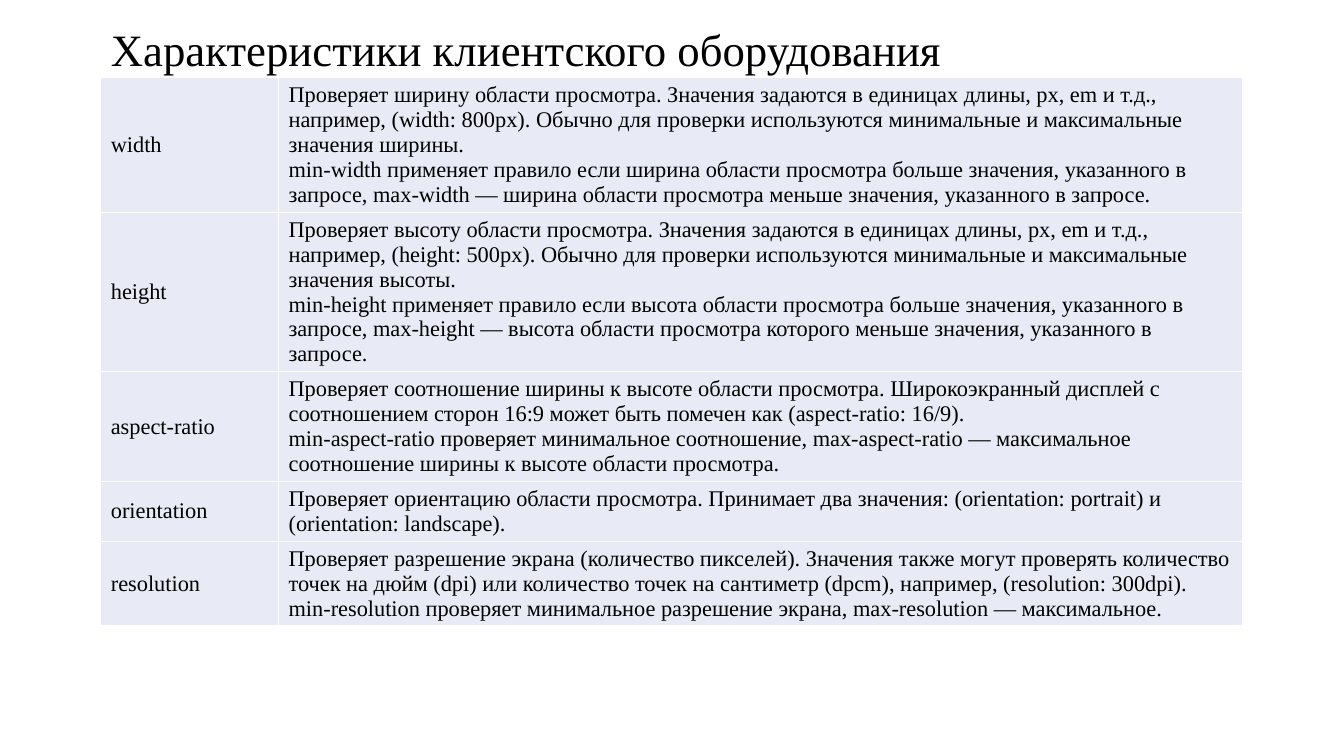
from copy import deepcopy
from dataclasses import dataclass

from lxml.etree import SubElement
from pptx import Presentation
from pptx.dml.color import RGBColor
from pptx.enum.text import MSO_ANCHOR, MSO_AUTO_SIZE, PP_ALIGN
from pptx.oxml.ns import qn
from pptx.util import Cm, Pt


@dataclass(frozen=True)
class Theme:
    font: str = "Times New Roman"
    text: str = "000000"
    cell: str = "E8EBF5"
    border: str = "FFFFFF"
    title_size: int = 32
    body_size: int = 16
    border_width: int = 1


THEME = Theme()
TITLE = "Характеристики клиентского оборудования"
LEFT = 2.54
COLUMN_WIDTHS = (4.48, 24.3)
LINE_HEIGHT = 0.62
CELL_PADDING = 0.25
FEATURES = [
    ("width", 5,
     "Проверяет ширину области просмотра. Значения задаются в единицах длины, px, em и т.д., "
     "например, (width: 800px). Обычно для проверки используются минимальные и максимальные "
     "значения ширины.\n"
     "min-width применяет правило если ширина области просмотра больше значения, указанного в "
     "запросе, max-width — ширина области просмотра меньше значения, указанного в запросе."),
    ("height", 6,
     "Проверяет высоту области просмотра. Значения задаются в единицах длины, px, em и т.д., "
     "например, (height: 500px). Обычно для проверки используются минимальные и максимальные "
     "значения высоты.\n"
     "min-height применяет правило если высота области просмотра больше значения, указанного в "
     "запросе, max-height — высота области просмотра которого меньше значения, указанного в "
     "запросе."),
    ("aspect-ratio", 4,
     "Проверяет соотношение ширины к высоте области просмотра. Широкоэкранный дисплей с "
     "соотношением сторон 16:9 может быть помечен как (aspect-ratio: 16/9).\n"
     "min-aspect-ratio проверяет минимальное соотношение, max-aspect-ratio — максимальное "
     "соотношение ширины к высоте области просмотра."),
    ("orientation", 2,
     "Проверяет ориентацию области просмотра. Принимает два значения: (orientation: portrait) и "
     "(orientation: landscape)."),
    ("resolution", 3,
     "Проверяет разрешение экрана (количество пикселей). Значения также могут проверять количество "
     "точек на дюйм (dpi) или количество точек на сантиметр (dpcm), например, (resolution: 300dpi).\n"
     "min-resolution проверяет минимальное разрешение экрана, max-resolution — максимальное."),
]


def apply_format(target, values):
    for name, value in values.items():
        setattr(target, name, value)


def write_text(paragraph, text, size):
    paragraph.text = text
    for run in paragraph.runs:
        apply_format(run.font, {"name": THEME.font, "size": Pt(size)})
        run.font.color.rgb = RGBColor.from_string(THEME.text)
    for line_break in paragraph._p.findall(qn("a:br")):
        line_break.append(deepcopy(paragraph.runs[0]._r.rPr))


def format_title(title):
    apply_format(title, {"left": Cm(LEFT), "top": Cm(0), "width": Cm(28.78), "height": Cm(2.62)})
    apply_format(title.text_frame, {"vertical_anchor": MSO_ANCHOR.MIDDLE, "word_wrap": True,
                                    "auto_size": MSO_AUTO_SIZE.NONE})
    paragraph = title.text_frame.paragraphs[0]
    write_text(paragraph, TITLE, THEME.title_size)
    apply_format(paragraph, {"alignment": PP_ALIGN.LEFT, "line_spacing": 0.9})


def add_borders(cell):
    properties = cell._tc.get_or_add_tcPr()
    for position, side in enumerate(("lnL", "lnR", "lnT", "lnB")):
        line = properties.makeelement(qn(f"a:{side}"), {"w": str(Pt(THEME.border_width))})
        properties.insert(position, line)
        fill = SubElement(line, qn("a:solidFill"))
        SubElement(fill, qn("a:srgbClr"), val=THEME.border)


def fill_cell(cell, text):
    write_text(cell.text_frame.paragraphs[0], text, THEME.body_size)
    cell.vertical_anchor = MSO_ANCHOR.MIDDLE
    cell.fill.solid()
    cell.fill.fore_color.rgb = RGBColor.from_string(THEME.cell)
    add_borders(cell)


def add_feature_table(slide):
    heights = [lines * LINE_HEIGHT + CELL_PADDING for _, lines, _ in FEATURES]
    table = slide.shapes.add_table(len(FEATURES), len(COLUMN_WIDTHS), Cm(LEFT), Cm(1.96),
                                   Cm(sum(COLUMN_WIDTHS)), Cm(sum(heights))).table
    apply_format(table, {"first_row": False, "horz_banding": False})
    for column, width in zip(table.columns, COLUMN_WIDTHS):
        column.width = Cm(width)
    for row, height, (feature, _, description) in zip(table.rows, heights, FEATURES):
        row.height = Cm(height)
        for cell, text in zip(row.cells, (feature, description)):
            fill_cell(cell, text)


def main():
    presentation = Presentation()
    apply_format(presentation, {"slide_width": Cm(33.87), "slide_height": Cm(19.05)})
    slide = presentation.slides.add_slide(presentation.slide_layouts.get_by_name("Title Only"))
    format_title(slide.shapes.title)
    add_feature_table(slide)
    presentation.save("out.pptx")


if __name__ == "__main__":
    main()
